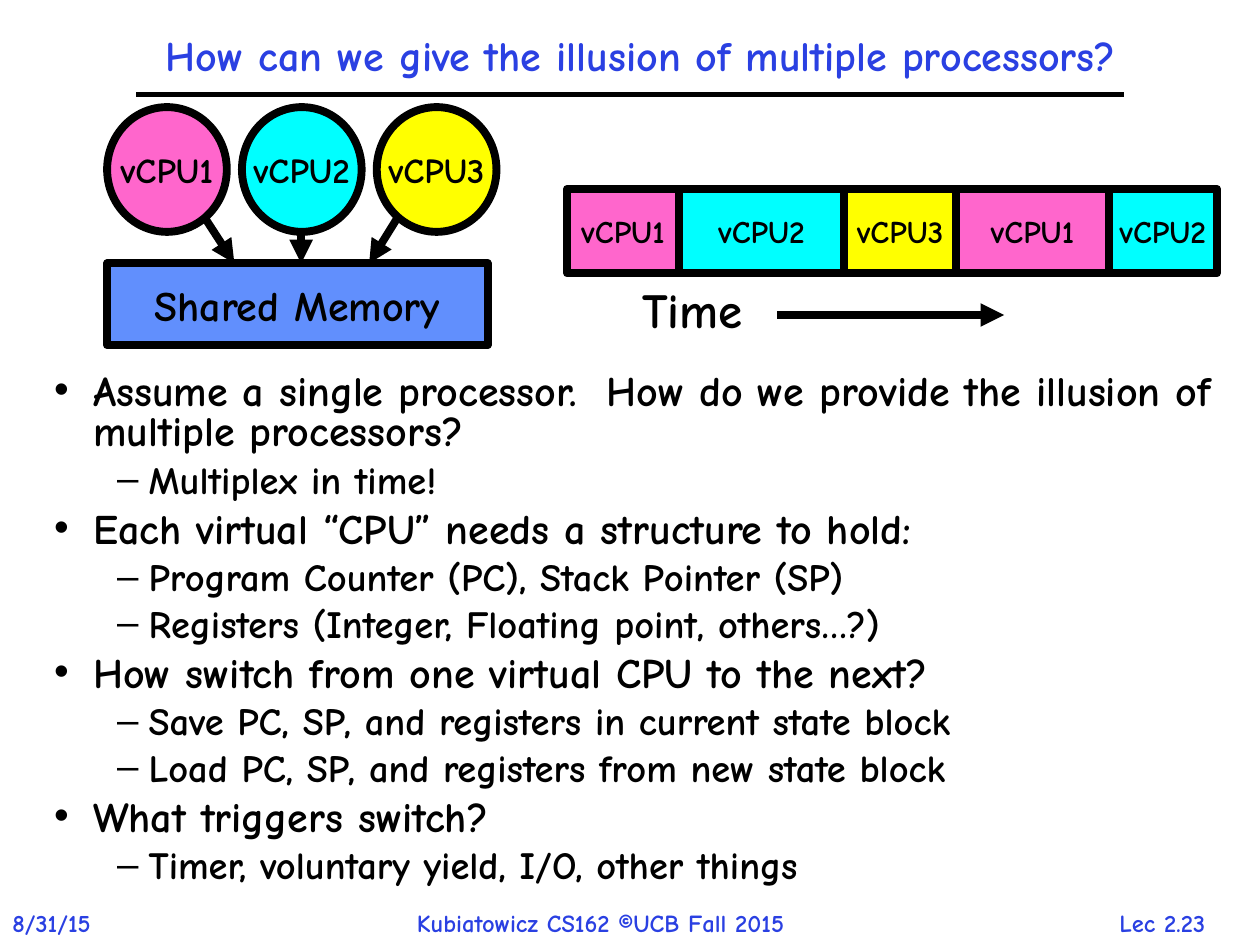
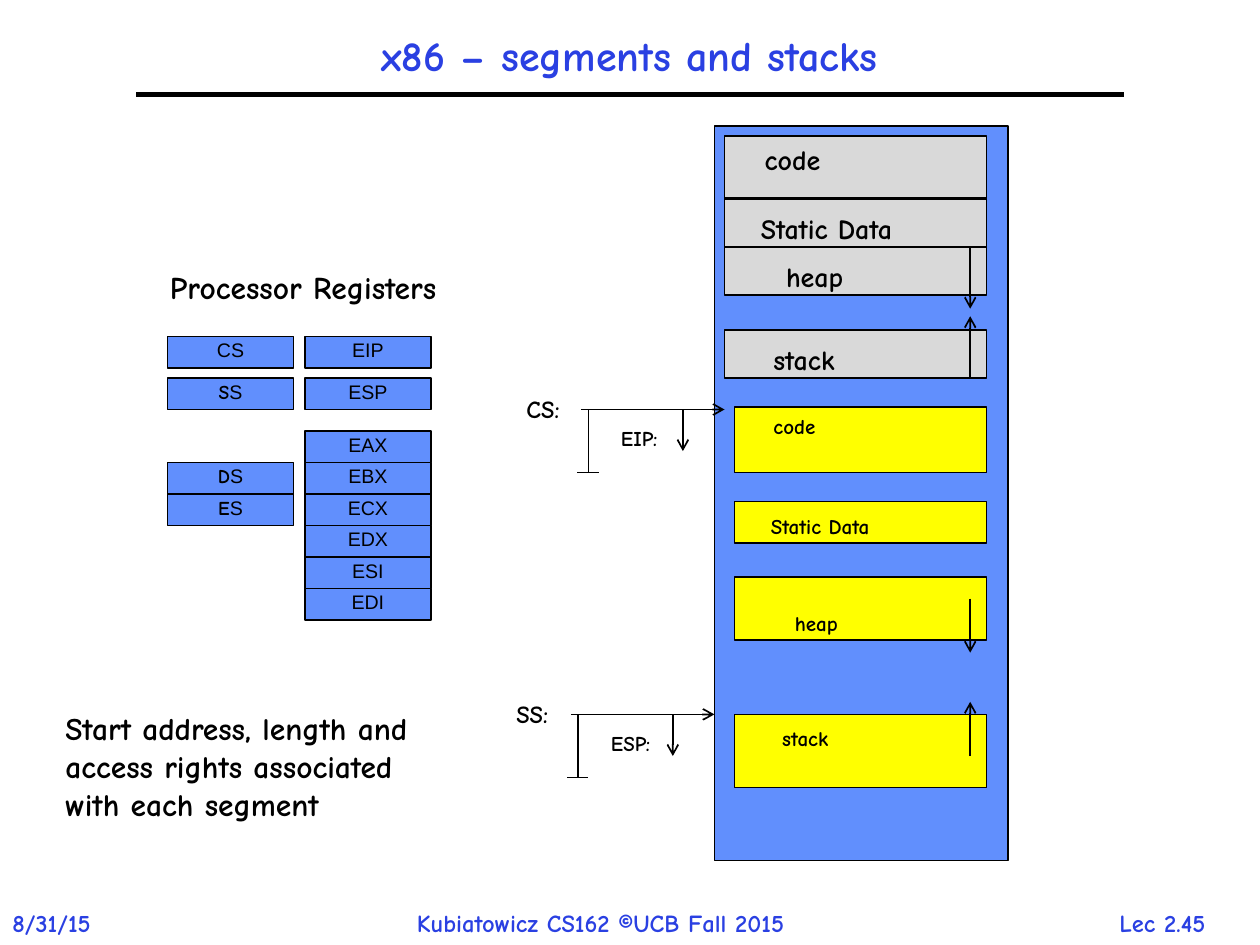
from pptx import Presentation
from pptx.dml.color import RGBColor
from pptx.enum.shapes import MSO_CONNECTOR, MSO_SHAPE
from pptx.enum.text import MSO_ANCHOR as ANCHOR, MSO_AUTO_SIZE as AUTO_SIZE, PP_ALIGN as ALIGN
from pptx.oxml.ns import qn
from pptx.util import Inches, Pt
from lxml.etree import SubElement

BLACK = RGBColor(0x00, 0x00, 0x00)
TITLE_BLUE = RGBColor(0x2A, 0x40, 0xE2)
MEMORY_BLUE = RGBColor(0x61, 0x8F, 0xFD)
PINK = RGBColor(0xFF, 0x66, 0xCC)
CYAN = RGBColor(0x00, 0xFF, 0xFF)
YELLOW = RGBColor(0xFF, 0xFF, 0x00)
GREY = RGBColor(0xD9, 0xD9, 0xD9)
COMIC = "Comic Neue"


def add_block(slide, left, top, width, height, text="", size=18, fill=None, weight=1,
              preset=MSO_SHAPE.RECTANGLE, color=BLACK, align=ALIGN.LEFT):
    place = [Inches(length) for length in (left, top, width, height)]
    if fill is None:
        block = slide.shapes.add_textbox(*place)
        block.text_frame.word_wrap = True
    else:
        block = slide.shapes.add_shape(preset, *place)
        block.shadow.inherit = False
        block.fill.solid()
        block.fill.fore_color.rgb = fill
        block.line.color.rgb = BLACK
        block.line.width = Pt(weight)
        block.text_frame.word_wrap = False
        block.text_frame.vertical_anchor = ANCHOR.MIDDLE
        align = ALIGN.CENTER
    if text:
        block.text_frame.text = text
        paragraph = block.text_frame.paragraphs[0]
        paragraph.alignment = align
        font = paragraph.runs[0].font
        font.name, font.size, font.bold = COMIC, Pt(size), True
        font.color.rgb = color
    return block


def add_line(slide, x1, y1, x2, y2, weight=1, head=None):
    line = slide.shapes.add_connector(
        MSO_CONNECTOR.STRAIGHT, Inches(x1), Inches(y1), Inches(x2), Inches(y2))
    line.line.color.rgb = BLACK
    line.line.width = Pt(weight)
    if head:
        SubElement(line.line._get_or_add_ln(), qn("a:tailEnd"), type=head)
    SubElement(line._element.spPr, qn("a:effectLst"))


prs = Presentation()
prs.slide_width, prs.slide_height = Inches(10), Inches(7.5)

processors = prs.slides.add_slide(prs.slide_layouts[1])
segments = prs.slides.add_slide(prs.slide_layouts[5])

for slide, heading, left, width, number in (
    (processors, "How can we give the illusion of multiple processors?", 0.5, 9.17, "Lec 2.23"),
    (segments, "x86 – segments and stacks", 1.08, 7.83, "Lec 2.45"),
):
    title = slide.shapes.title
    title.left, title.top = Inches(left), Inches(0.17)
    title.width, title.height = Inches(width), Inches(0.58)
    title.text_frame.text = heading
    title.text_frame.auto_size = AUTO_SIZE.NONE
    title.text_frame.vertical_anchor = ANCHOR.MIDDLE
    heading_line = title.text_frame.paragraphs[0]
    heading_line.alignment = ALIGN.CENTER
    heading_line.line_spacing = 0.9
    font = heading_line.runs[0].font
    font.name, font.size, font.bold = COMIC, Pt(24), True
    font.color.rgb = TITLE_BLUE

    add_line(slide, 1.08, 0.75, 8.92, 0.75, weight=3)
    for text, left, width, align in (
        ("8/31/15", 0, 1, ALIGN.LEFT),
        ("Kubiatowicz CS162 ©UCB Fall 2015", 3.21, 3.61, ALIGN.LEFT),
        (number, 8.62, 1.21, ALIGN.CENTER),
    ):
        add_block(slide, left, 7.16, width, 0.34, text, 14, color=TITLE_BLUE, align=align)

cpu_colors = {"vCPU1": PINK, "vCPU2": CYAN, "vCPU3": YELLOW}
for index, (cpu, color) in enumerate(cpu_colors.items()):
    add_block(processors, 0.85 + 1.07 * index, 0.85, 0.95, 0.99, cpu, 20, color, 4.5,
              MSO_SHAPE.OVAL)
add_block(processors, 0.85, 2.09, 3.02, 0.65, "Shared Memory", 24, MEMORY_BLUE, 4.5)
for x1, y1, x2 in ((1.62, 1.72, 1.86), (2.39, 1.84, 2.39), (3.16, 1.72, 2.93)):
    add_line(processors, x1, y1, x2, 2.09, 4.5, "triangle")

slice_left = 4.5
for cpu, width in (("vCPU1", 0.89), ("vCPU2", 1.31), ("vCPU3", 0.89),
                   ("vCPU1", 1.21), ("vCPU2", 0.86)):
    add_block(processors, slice_left, 1.5, width, 0.67, cpu, 18, cpu_colors[cpu], 4.5)
    slice_left += width
add_block(processors, 5, 2.17, 1.28, 0.57, "Time", 28)
add_line(processors, 6.17, 2.5, 7.97, 2.5, 4.5, "triangle")

questions = (
    (0, "Assume a single processor.  How do we provide the illusion of multiple processors?"),
    (1, "Multiplex in time!"),
    (0, "Each virtual “CPU” needs a structure to hold:"),
    (1, "Program Counter (PC), Stack Pointer (SP)"),
    (1, "Registers (Integer, Floating point, others…?)"),
    (0, "How switch from one virtual CPU to the next?"),
    (1, "Save PC, SP, and registers in current state block"),
    (1, "Load PC, SP, and registers from new state block"),
    (0, "What triggers switch?"),
    (1, "Timer, voluntary yield, I/O, other things"),
)
outline = processors.placeholders[1]
outline.left, outline.top = Inches(0.33), Inches(2.92)
outline.width, outline.height = Inches(9.42), Inches(4.33)
outline.text_frame.text = "\n".join(text for level, text in questions)
outline.text_frame.auto_size = AUTO_SIZE.NONE
for (level, text), paragraph in zip(questions, outline.text_frame.paragraphs):
    size, margin, indent, bullet = ((24, 0.31, -0.31, "•"), (22, 0.75, -0.25, "–"))[level]
    paragraph.level = level
    paragraph.line_spacing = 0.8
    paragraph.space_before = Pt(size / 4)
    properties = paragraph._p.get_or_add_pPr()
    properties.set("marL", str(Inches(margin)))
    properties.set("indent", str(Inches(indent)))
    SubElement(properties, qn("a:buChar"), char=bullet)
    font = paragraph.runs[0].font
    font.name, font.size, font.bold = COMIC, Pt(size), True
    font.color.rgb = BLACK

add_block(segments, 1.25, 2.08, 2.67, 0.4, "Processor Registers")
add_block(segments, 0.42, 5.58, 3.08, 1.01,
          "Start address, length and access rights associated with each segment")

segment_registers = (("CS", 2.67), ("SS", 3), ("DS", 3.67), ("ES", 3.92))
general_registers = [("EIP", 2.67), ("ESP", 3)] + [
    (name, 3.42 + 0.25 * row)
    for row, name in enumerate(("EAX", "EBX", "ECX", "EDX", "ESI", "EDI"))]
for left, registers in ((1.33, segment_registers), (2.42, general_registers)):
    for name, top in registers:
        register = add_block(segments, left, top, 1, 0.25, name, 11.2, MEMORY_BLUE)
        register.text_frame.vertical_anchor = ANCHOR.TOP
        paragraph = register.text_frame.paragraphs[0]
        paragraph.line_spacing = 0.8
        if name in ("SS", "DS", "ES"):
            paragraph.runs[0].text = name[0]
            paragraph.add_run().text = name[1]
        if name[0] == "E" and name != "ES" or name == "CS":
            arial_run = paragraph.runs[0]
        else:
            arial_run = paragraph.runs[1]
        font = arial_run.font
        font.name, font.size, font.bold = "Arial", Pt(11.2), False
        font.color.rgb = BLACK

add_block(segments, 5.67, 1, 2.33, 5.83, fill=MEMORY_BLUE)
for name, top, height, name_left, name_top, name_width in (
    ("code", 1.08, 0.49, 5.97, 1.08, 0.78),
    ("Static Data", 1.58, 0.38, 5.94, 1.63, 1.48),
    ("heap", 1.96, 0.38, 6.14, 2.01, 0.8),
    ("stack", 2.62, 0.38, 6.04, 2.67, 0.84),
):
    add_block(segments, 5.75, top, 2.08, height, fill=GREY)
    add_block(segments, name_left, name_top, name_width, 0.29, name, 16)
for name, top, height, name_left, name_top, name_width in (
    ("code", 3.23, 0.52, 6.04, 3.23, 0.65),
    ("Static Data", 3.98, 0.33, 6.02, 4.03, 1.17),
    ("heap", 4.58, 0.5, 6.21, 4.8, 0.66),
    ("stack", 5.67, 0.58, 6.11, 5.71, 0.68),
):
    add_block(segments, 5.83, top, 2, height, fill=YELLOW)
    add_block(segments, name_left, name_top, name_width, 0.3, name, 12)
for start, end in ((1.96, 2.45), (3, 2.51), (4.75, 5.18), (6, 5.57)):
    add_line(segments, 7.7, start, 7.7, end, head="arrow")

for segment, pointer, left, top in (("CS:", "EIP:", 4.08, 3.25), ("SS:", "ESP:", 4, 5.67)):
    add_block(segments, left, top - 0.17, 0.53, 0.34, segment, 14)
    add_line(segments, left + 0.53, top, left + 1.67, top, head="arrow")
    add_line(segments, left + 0.59, top, left + 0.59, top + 0.5)
    add_line(segments, left + 0.5, top + 0.5, left + 0.67, top + 0.5)
    add_line(segments, left + 1.34, top, left + 1.34, top + 0.33, head="arrow")
    add_block(segments, left + 0.75, top + 0.08, 0.59, 0.3, pointer, 12)

prs.save("out.pptx")
